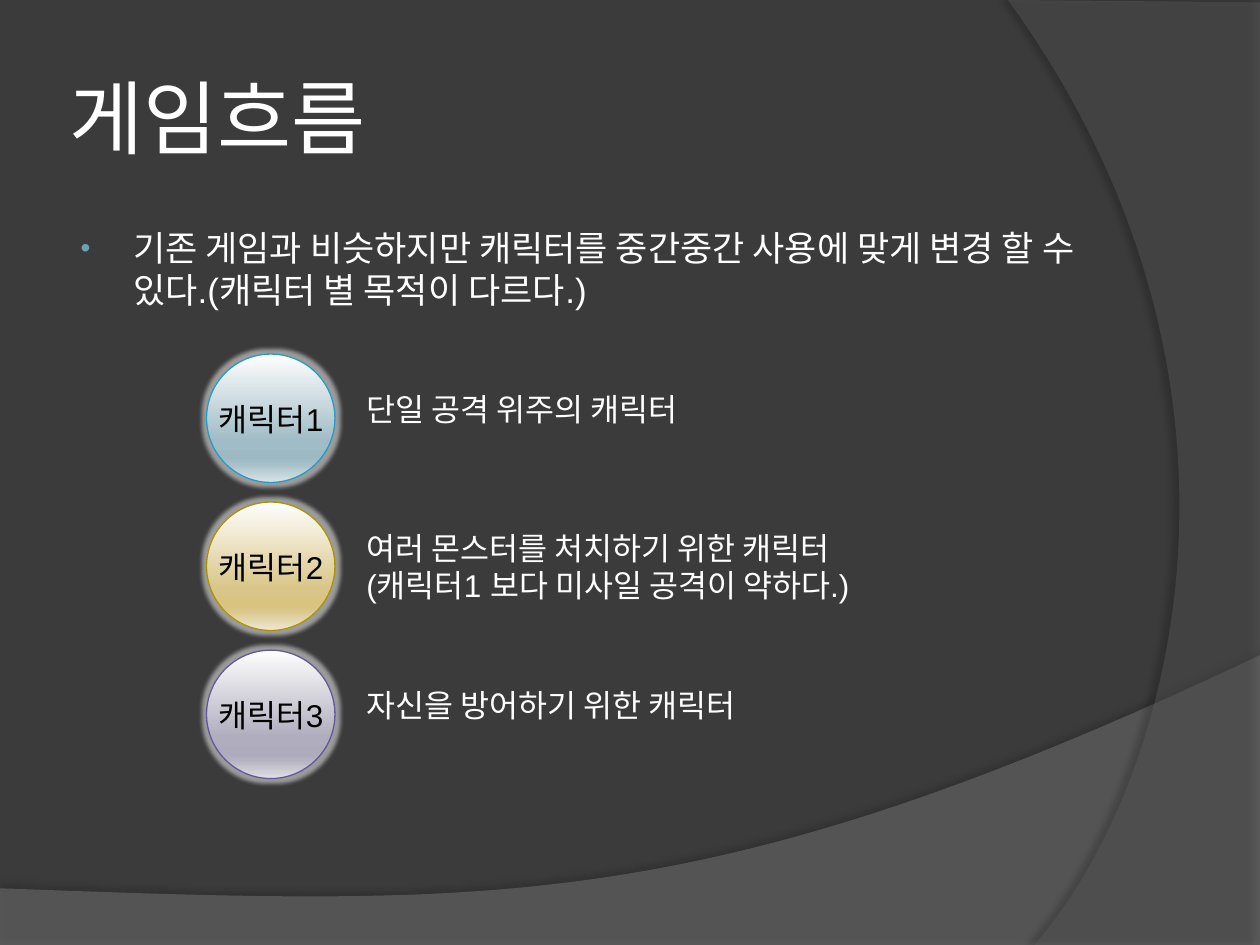
from lxml.etree import SubElement
from pptx import Presentation
from pptx.dml.color import RGBColor
from pptx.enum.shapes import MSO_SHAPE
from pptx.enum.text import MSO_ANCHOR, MSO_AUTO_SIZE, PP_ALIGN
from pptx.oxml.ns import qn
from pptx.util import Pt

TITLE = "게임흐름"
INTRO = "기존 게임과 비슷하지만 캐릭터를 중간중간 사용에 맞게 변경 할 수 있다.(캐릭터 별 목적이 다르다.)"
ROLES = [
    ("캐릭터1", "단일 공격 위주의 캐릭터", "239BC2",
     ("FEFEFE", "A0BCC6", "9CB9C4", "A7C0C9", "DAE4E7")),
    ("캐릭터2", "여러 몬스터를 처치하기 위한 캐릭터\n(캐릭터1 보다 미사일 공격이 약하다.)", "AB9200",
     ("FFFEFE", "D9C587", "D8C381", "DBC990", "EFE7D3")),
    ("캐릭터3", "자신을 방어하기 위한 캐릭터", "625899",
     ("FEFEFE", "B0AEBE", "ADABBC", "B5B3C2", "E0DFE4")),
]
STOPS = (0, 68, 81, 86, 100)


class Theme:
    back, wave, arc = "3B3B3B", "7F7F7F", "5E5E5E"
    light, dark, bullet = "FFFFFF", "000000", "6EA0B0"
    head, body = "Roboto", "Arial"
    big, mid, small = 46, 20, 18


# Each swoosh: straight corners, then a Bezier of four points, in points
WAVE = ([(0, 507.6), (0, 540.7), (720, 540.7)],
        [(720, 374.4), (402.5, 524.9), (281.5, 517.7), (0, 507.6)])
ARC = ([(720, 1.4), (720, 540)],
       [(591.1, 540), (673.2, 445.7), (733, 216), (576, 0)])


def rgb(code):
    return RGBColor.from_string(code)


def node(parent, tag, **attrs):
    return SubElement(parent, qn(tag), {k: str(v) for k, v in attrs.items()})


def tint(parent, code, alpha=100):
    """Add a colour with its opacity in percent."""
    color = node(parent, "a:srgbClr", val=code)
    if alpha < 100:
        node(color, "a:alpha", val=alpha * 1000)


def effect(shape, tag, code, alpha, **attrs):
    shape.shadow.inherit = False
    effects = shape.element.spPr.find(qn("a:effectLst"))
    tint(node(effects, tag, **attrs), code, alpha)


def curve(pts, steps=60):
    for i in range(steps + 1):
        t = i / steps
        weights = ((1 - t) ** 3, 3 * t * (1 - t) ** 2, 3 * t * t * (1 - t), t ** 3)
        yield tuple(sum(w * p[k] for w, p in zip(weights, pts)) for k in (0, 1))


def swoosh(shapes, outline, code, alpha, shade, dist, angle):
    corners, bend = outline
    pts = [(Pt(x), Pt(y)) for x, y in corners + list(curve(bend))]
    pen = shapes.build_freeform(*pts[0])
    pen.add_line_segments(pts[1:], close=True)
    shape = pen.convert_to_shape()
    shape.fill.solid()
    shape.fill.fore_color.rgb = rgb(code)
    color = shape.element.spPr.find(qn("a:solidFill"))[0]
    node(color, "a:alpha", val=alpha * 1000)
    shape.line.fill.background()
    effect(shape, "a:outerShdw", Theme.dark, shade, blurRad=Pt(4),
           dist=Pt(dist), dir=angle * 60000, algn="ctr", rotWithShape=0)


def place(shape, left, top, width, height):
    shape.left, shape.top = Pt(left), Pt(top)
    shape.width, shape.height = Pt(width), Pt(height)


def write(shape, text, size=Theme.small, font=Theme.body, color=Theme.light,
          anchor=MSO_ANCHOR.TOP, inset=None):
    frame = shape.text_frame
    frame.word_wrap = True
    frame.auto_size = MSO_AUTO_SIZE.NONE
    frame.vertical_anchor = anchor
    if inset is not None:
        frame.margin_left = frame.margin_right = Pt(inset)
        frame.margin_top = frame.margin_bottom = Pt(inset)
    para = frame.paragraphs[0]
    para.text = text
    para.alignment = PP_ALIGN.LEFT
    for run in para.runs:
        run.font.size, run.font.name = Pt(size), font
        run.font.color.rgb = rgb(color)
    return para


def note(shapes, box, text, **style):
    return write(shapes.add_textbox(*map(Pt, box)), text, **style)


def bullet(para):
    para.space_before = Pt(4)
    props = para._p.get_or_add_pPr()
    props.set("marL", str(Pt(33)))
    props.set("indent", str(-Pt(30)))
    tint(node(props, "a:buClr"), Theme.bullet)
    node(props, "a:buSzPct", val=80000)
    node(props, "a:buFont", typeface=Theme.body)
    node(props, "a:buChar", char="•")


def ball(shapes, box, edge, colors):
    shape = shapes.add_shape(MSO_SHAPE.OVAL, *map(Pt, box))
    shape.fill.gradient()
    shape.fill.gradient_angle = 270
    stops = shape.element.spPr.find(qn("a:gradFill")).find(qn("a:gsLst"))
    for old in list(stops):
        stops.remove(old)
    for pos, code in zip(STOPS, colors):
        tint(node(stops, "a:gs", pos=pos * 1000), code)
    shape.line.color.rgb = rgb(edge)
    shape.line.width = Pt(0.75)
    effect(shape, "a:glow", Theme.light, 50, rad=Pt(5))


def main():
    deck = Presentation()
    deck.slide_width, deck.slide_height = Pt(720), Pt(540)
    slide = deck.slides.add_slide(deck.slide_layouts[5])
    slide.background.fill.solid()
    slide.background.fill.fore_color.rgb = rgb(Theme.back)
    shapes = slide.shapes

    swoosh(shapes, WAVE, Theme.wave, 45, 35, 3.5, 270)
    swoosh(shapes, ARC, Theme.arc, 40, 45, 4, 180)

    place(shapes.title, 36, 21.6, 588, 90)
    write(shapes.title, TITLE, size=Theme.big, font=Theme.head,
          anchor=MSO_ANCHOR.MIDDLE, inset=3.6)
    bullet(note(shapes, (36, 126, 588, 356), INTRO, size=Theme.mid))

    left, first, pitch, size = 118, 202.3, 84.6, 73.4
    for i, (name, text, edge, colors) in enumerate(ROLES):
        top = first + i * pitch
        extra = text.count("\n")
        group = shapes.add_group_shape().shapes
        ball(group, (left, top, size, size), edge, colors)
        note(group, (left, top + 22.6, 106.6, 29), name, color=Theme.dark)
        note(group, (202.3, top + 17 - 5.4 * extra, 382, 29 + 22 * extra), text)

    deck.save("out.pptx")


if __name__ == "__main__":
    main()
